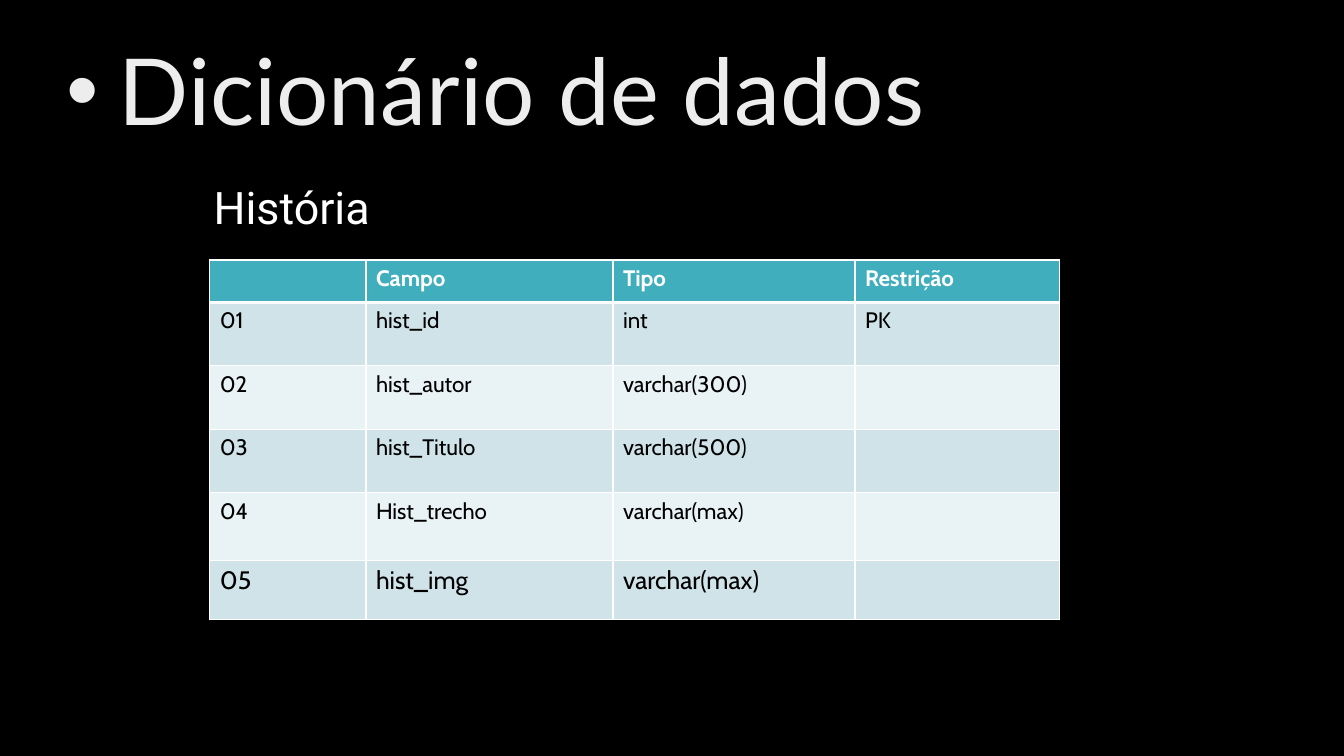
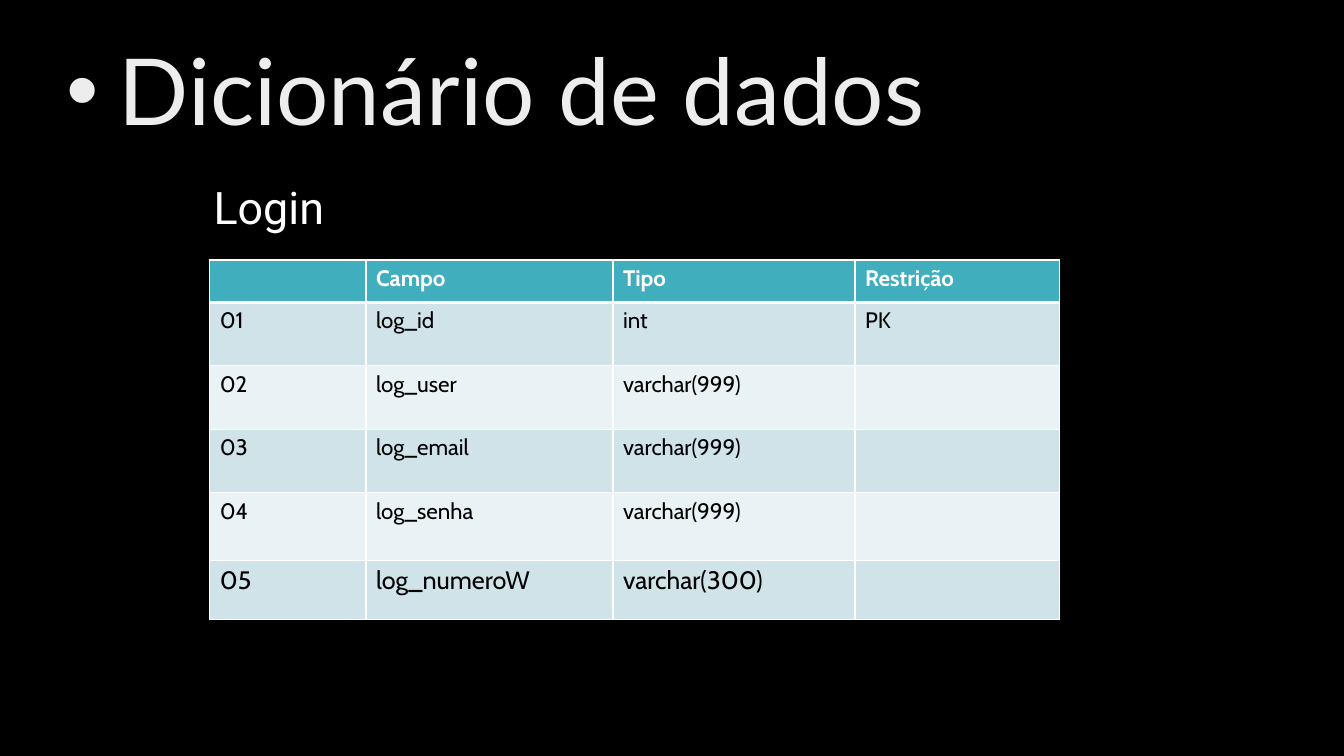
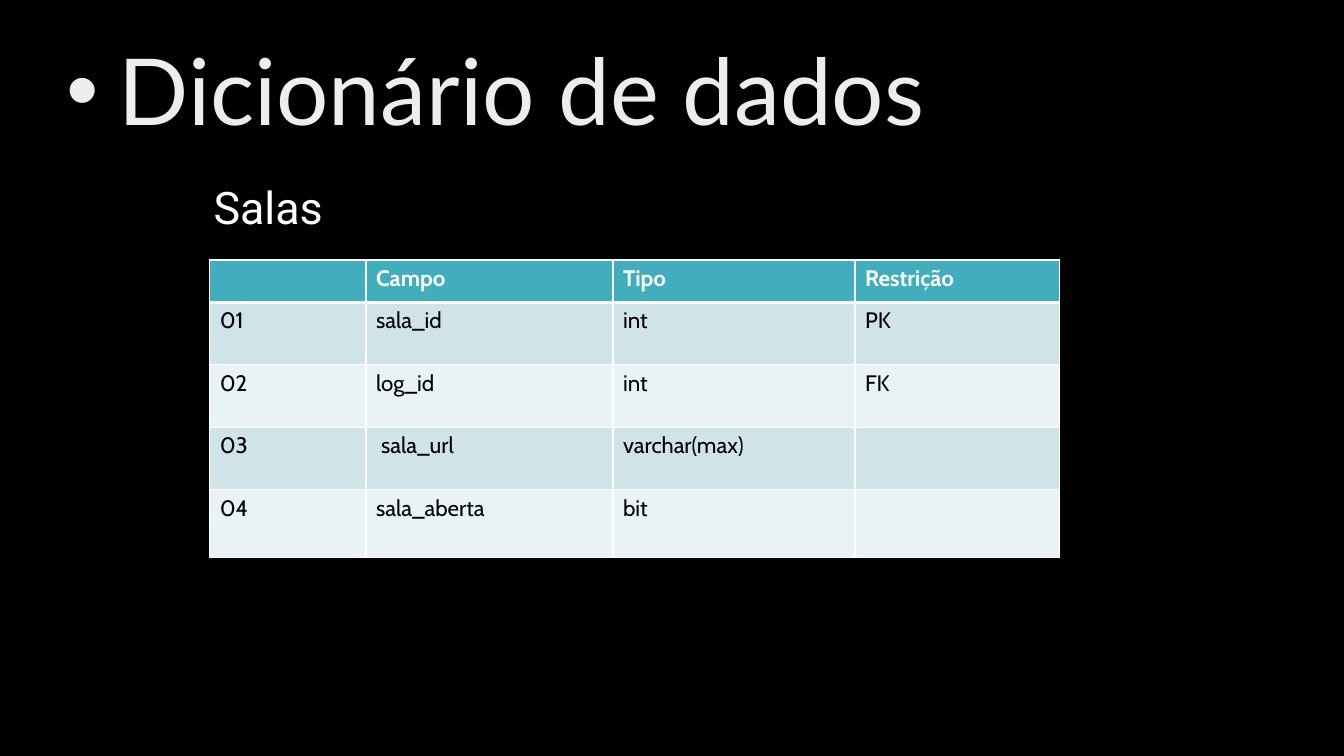
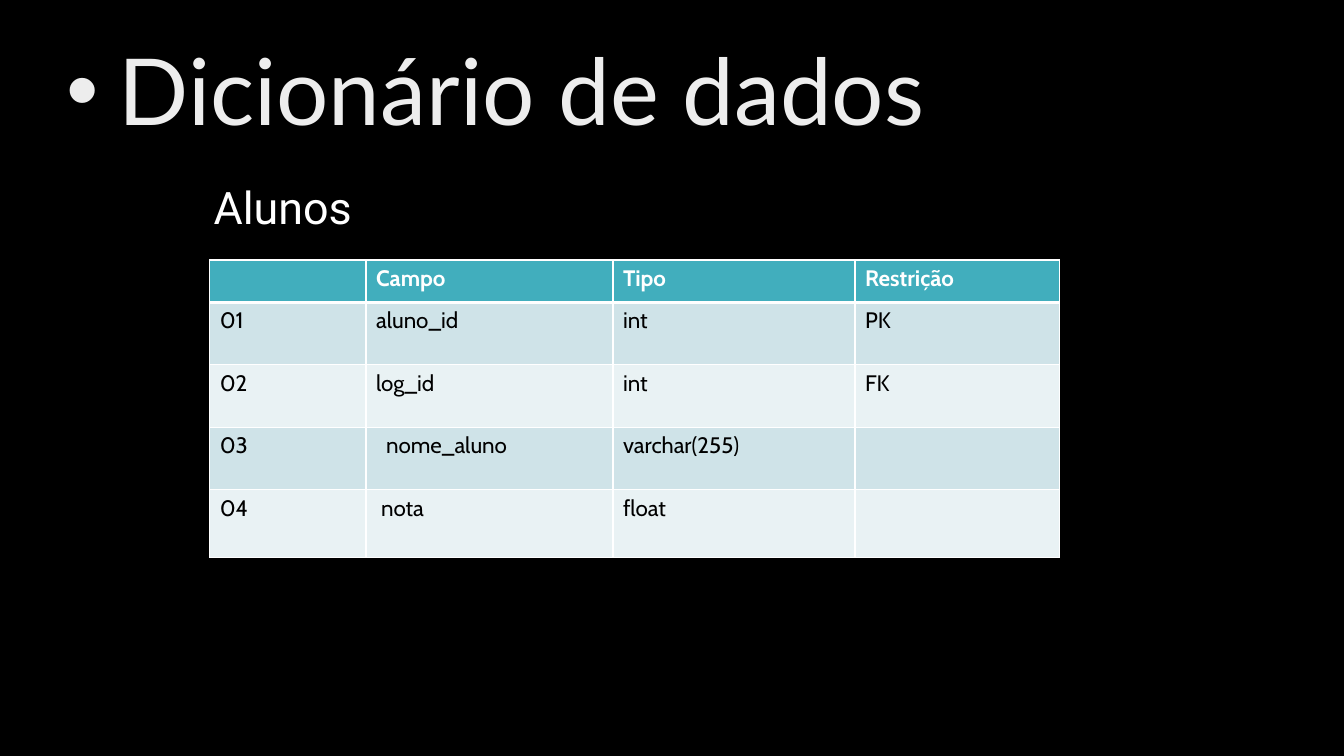
from dataclasses import dataclass

from lxml import etree
from pptx import Presentation
from pptx import util as u
from pptx.dml.color import RGBColor
from pptx.enum import text
from pptx.oxml import ns

BLACK = RGBColor(0x00, 0x00, 0x00)
WHITE = RGBColor(0xFF, 0xFF, 0xFF)
TEAL = RGBColor(0x41, 0xAE, 0xBD)
BAND_DARK = RGBColor(0xCF, 0xE3, 0xE8)
BAND_LIGHT = RGBColor(0xE9, 0xF2, 0xF4)
SILVER = RGBColor(0xBF, 0xBF, 0xBF)
PEARL = RGBColor(0xED, 0xED, 0xED)

TITLE = "Dicionário de dados"
TITLE_STOPS = ((0, SILVER), (28, PEARL), (100, WHITE))
TITLE_INDENT = u.Inches(0.52)
HEADINGS = ("", "Campo", "Tipo", "Restrição")
COLUMN_WIDTHS = (1.55, 2.45, 2.4, 2.03)
CELL_MARGIN = 0.1
SPACE_WIDTH = 0.05


@dataclass(frozen=True)
class Field:
    name: str
    kind: str
    constraint: str = ""
    indent: int = 0
    size: int = 16


@dataclass(frozen=True)
class Entity:
    name: str
    row_heights: tuple[float, ...]
    fields: tuple[Field, ...]


FIVE_ROWS = (0.42, 0.63, 0.63, 0.63, 0.67, 0.59)
FOUR_ROWS = (0.42, 0.62, 0.62, 0.62, 0.67)

ENTITIES = (
    Entity("História", FIVE_ROWS, (
        Field("hist_id", "int", "PK"),
        Field("hist_autor", "varchar(300)"),
        Field("hist_Titulo", "varchar(500)"),
        Field("Hist_trecho", "varchar(max)"),
        Field("hist_img", "varchar(max)", size=18),
    )),
    Entity("Login", FIVE_ROWS, (
        Field("log_id", "int", "PK"),
        Field("log_user", "varchar(999)"),
        Field("log_email", "varchar(999)"),
        Field("log_senha", "varchar(999)"),
        Field("log_numeroW", "varchar(300)", size=18),
    )),
    Entity("Salas", FOUR_ROWS, (
        Field("sala_id", "int", "PK"),
        Field("log_id", "int", "FK"),
        Field("sala_url", "varchar(max)", indent=1),
        Field("sala_aberta", "bit"),
    )),
    Entity("Alunos", FOUR_ROWS, (
        Field("aluno_id", "int", "PK"),
        Field("log_id", "int", "FK"),
        Field("nome_aluno", "varchar(255)", indent=2),
        Field("nota", "float", indent=1),
    )),
)


def add_child(parent, tag: str, **attributes):
    return etree.SubElement(parent, ns.qn(tag), attributes)


def add_bullet(paragraph) -> None:
    properties = paragraph._p.get_or_add_pPr()
    properties.set("marL", str(TITLE_INDENT))
    properties.set("indent", str(-TITLE_INDENT))
    add_child(properties, "a:buFont", typeface="Arial")
    add_child(properties, "a:buChar", char="•")


def apply_gradient(run) -> None:
    gradient = etree.Element(ns.qn("a:gradFill"))
    stops = add_child(gradient, "a:gsLst")
    for position, color in TITLE_STOPS:
        stop = add_child(stops, "a:gs", pos=str(position * 1000))
        add_child(stop, "a:srgbClr", val=str(color))
    add_child(gradient, "a:lin", ang=str(80 * 60000), scaled="0")
    run._r.get_or_add_rPr().insert(0, gradient)


def add_title(slide) -> None:
    title = slide.shapes.add_textbox(
        u.Inches(0.56), u.Inches(0.22), u.Inches(11.5), u.Inches(1.45))
    frame = title.text_frame
    frame.word_wrap = True
    frame.vertical_anchor = text.MSO_ANCHOR.MIDDLE
    frame.text = TITLE
    paragraph = frame.paragraphs[0]
    paragraph.line_spacing = 0.9
    add_bullet(paragraph)
    run = paragraph.runs[0]
    run.font.size = u.Pt(66)
    run.font.name = "Lato"
    apply_gradient(run)


def add_entity_name(slide, name: str) -> None:
    label = slide.shapes.add_textbox(
        u.Inches(2.02), u.Inches(1.73), u.Inches(2.27), u.Inches(0.64))
    frame = label.text_frame
    frame.word_wrap = True
    frame.text = name
    font = frame.paragraphs[0].runs[0].font
    font.size = u.Pt(32)
    font.name = "Roboto"
    font.color.rgb = WHITE


def add_borders(cell, top: int, bottom: int) -> None:
    properties = cell._tc.get_or_add_tcPr()
    for side, width in (("L", 1), ("R", 1), ("T", top), ("B", bottom)):
        line = add_child(properties, f"a:ln{side}", w=str(u.Pt(width)))
        fill = add_child(line, "a:solidFill")
        add_child(fill, "a:srgbClr", val=str(WHITE))


def fill_cell(cell, value: str, row: int, size: int, indent: int) -> None:
    is_heading = row == 0
    add_borders(cell, top=3 if row == 1 else 1, bottom=3 if is_heading else 1)
    cell.fill.solid()
    cell.fill.fore_color.rgb = (
        TEAL if is_heading else BAND_DARK if row % 2 else BAND_LIGHT)
    cell.margin_left = u.Inches(CELL_MARGIN + indent * SPACE_WIDTH)
    cell.text_frame.text = value
    for run in cell.text_frame.paragraphs[0].runs:
        run.font.size = u.Pt(size)
        run.font.name = "Cabin"
        run.font.bold = is_heading
        run.font.color.rgb = WHITE if is_heading else BLACK


def add_field_table(slide, entity: Entity) -> None:
    table = slide.shapes.add_table(
        len(entity.row_heights), len(HEADINGS), u.Inches(2.08), u.Inches(2.58),
        u.Inches(sum(COLUMN_WIDTHS)), u.Inches(sum(entity.row_heights))).table
    for column, width in zip(table.columns, COLUMN_WIDTHS):
        column.width = u.Inches(width)
    for row, height in zip(table.rows, entity.row_heights):
        row.height = u.Inches(height)
    for column, heading in enumerate(HEADINGS):
        fill_cell(table.cell(0, column), heading, 0, 16, 0)
    for number, field in enumerate(entity.fields, start=1):
        values = (f"{number:02}", field.name, field.kind, field.constraint)
        for column, value in enumerate(values):
            indent = field.indent if column == 1 else 0
            fill_cell(table.cell(number, column), value, number, field.size, indent)


def add_entity_slide(deck, entity: Entity) -> None:
    slide = deck.slides.add_slide(deck.slide_layouts[6])
    add_title(slide)
    add_field_table(slide, entity)
    add_entity_name(slide, entity.name)


def main() -> None:
    deck = Presentation()
    deck.slide_width = u.Inches(13.33)
    deck.slide_height = u.Inches(7.5)
    backdrop = deck.slide_master.background.fill
    backdrop.solid()
    backdrop.fore_color.rgb = BLACK
    for entity in ENTITIES:
        add_entity_slide(deck, entity)
    deck.save("out.pptx")


if __name__ == "__main__":
    main()
